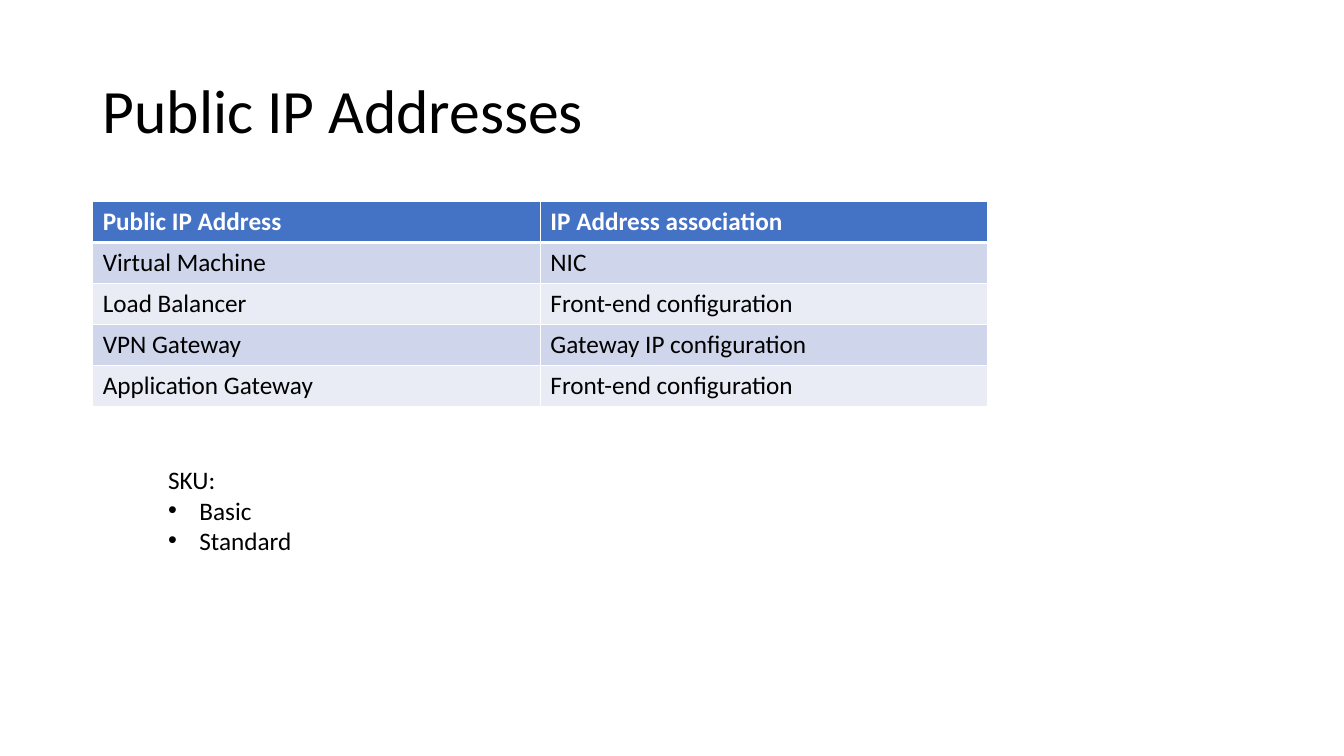
"""Build the slide on public IP addresses and their associations."""
import pptx
import pptx.dml.color
import pptx.enum.text
import pptx.oxml
import pptx.oxml.ns
import pptx.util
from lxml import etree

TITLE = "Public IP Addresses"
ROWS = [
    ("Public IP Address", "IP Address association"),
    ("Virtual Machine", "NIC"),
    ("Load Balancer", "Front-end configuration"),
    ("VPN Gateway", "Gateway IP configuration"),
    ("Application Gateway", "Front-end configuration"),
]
SKU_HEADING = "SKU:"
SKUS = ["Basic", "Standard"]
COLORS = {"text": "000000", "white": "FFFFFF", "header": "4472C4",
          "odd": "CFD5EA", "even": "E9EBF5"}
FONT = "Calibri"
LEFT = 0.92
COLUMN_WIDTH = 4.44
ROW_HEIGHT = 0.406

Inches = pptx.util.Inches


def rgb(name):
    return pptx.dml.color.RGBColor.from_string(COLORS[name])


def add_span(para, text, size=18, color="text", bold=False):
    span = para.add_run()
    span.text = text
    span.font.name = FONT
    span.font.size = pptx.util.Pt(size)
    span.font.bold = bold
    span.font.color.rgb = rgb(color)


def add_border(cell, side, points):
    line = etree.SubElement(cell._tc.get_or_add_tcPr(),
                            pptx.oxml.ns.qn(f"a:ln{side}"),
                            w=str(pptx.util.Pt(points)))
    fill = etree.SubElement(line, pptx.oxml.ns.qn("a:solidFill"))
    etree.SubElement(fill, pptx.oxml.ns.qn("a:srgbClr"), val=COLORS["white"])


def add_bullet(para):
    properties = para._p.get_or_add_pPr()
    properties.set("marL", str(Inches(0.31)))
    properties.set("indent", str(Inches(-0.31)))
    etree.SubElement(properties, pptx.oxml.ns.qn("a:buFont"), typeface="Arial")
    etree.SubElement(properties, pptx.oxml.ns.qn("a:buChar"), char="•")


def add_title(page):
    box = page.shapes.add_textbox(Inches(LEFT), Inches(0.4), Inches(11.5), Inches(1.45))
    frame = box.text_frame
    frame.word_wrap = True
    frame.vertical_anchor = pptx.enum.text.MSO_ANCHOR.MIDDLE
    para = frame.paragraphs[0]
    para.line_spacing = 0.9
    add_span(para, TITLE, size=44)


def add_associations(page):
    columns = len(ROWS[0])
    table = page.shapes.add_table(
        len(ROWS), columns, Inches(LEFT), Inches(2),
        Inches(COLUMN_WIDTH * columns), Inches(ROW_HEIGHT * len(ROWS))).table
    for column in table.columns:
        column.width = Inches(COLUMN_WIDTH)
    for index, texts in enumerate(ROWS):
        table.rows[index].height = Inches(ROW_HEIGHT)
        header = index == 0
        band = "header" if header else "odd" if index % 2 else "even"
        widths = {"L": 1, "R": 1, "T": 3 if index == 1 else 1, "B": 3 if header else 1}
        for cell, text in zip(table.rows[index].cells, texts):
            for side, points in widths.items():
                add_border(cell, side, points)
            cell.fill.solid()
            cell.fill.fore_color.rgb = rgb(band)
            add_span(cell.text_frame.paragraphs[0], text,
                     color="white" if header else "text", bold=header)


def add_skus(page):
    box = page.shapes.add_textbox(Inches(1.57), Inches(4.56), Inches(1.44), Inches(1.01))
    frame = box.text_frame
    frame.word_wrap = False
    frame.auto_size = pptx.enum.text.MSO_AUTO_SIZE.SHAPE_TO_FIT_TEXT
    add_span(frame.paragraphs[0], SKU_HEADING)
    for sku in SKUS:
        para = frame.add_paragraph()
        add_bullet(para)
        add_span(para, sku)


def main():
    deck = pptx.Presentation()
    deck.slide_width = Inches(13.33)
    deck.slide_height = Inches(7.5)
    page = deck.slides.add_slide(deck.slide_layouts[6])
    add_title(page)
    add_associations(page)
    add_skus(page)
    deck.save("out.pptx")


if __name__ == "__main__":
    main()
